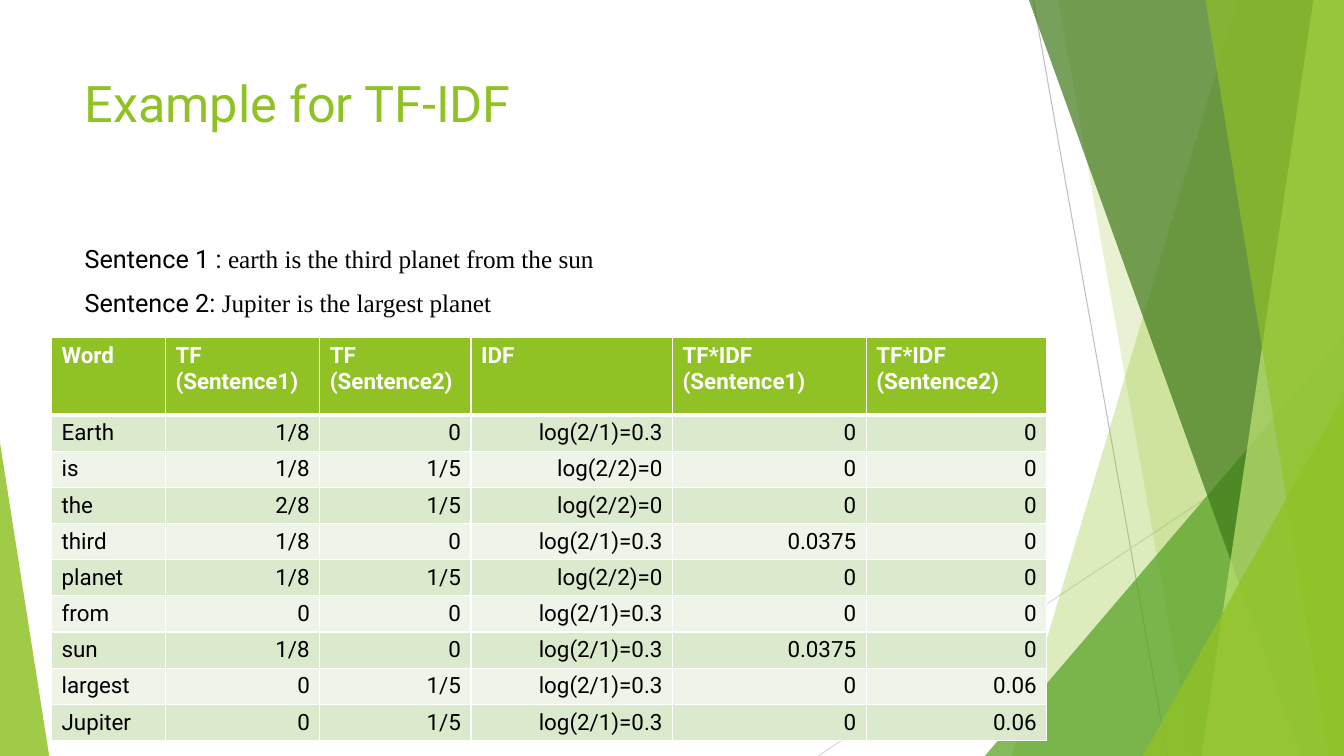
from lxml.etree import SubElement
from pptx import Presentation
from pptx.dml.color import RGBColor
from pptx.enum.shapes import MSO_CONNECTOR, MSO_SHAPE
from pptx.enum.text import MSO_ANCHOR, MSO_AUTO_SIZE, PP_ALIGN
from pptx.oxml.ns import qn
from pptx.util import Cm, Pt

WIDTH, HEIGHT = 33.87, 19.05
GREEN, WHITE, BLACK = "90C226", "FFFFFF", "000000"
BAND_FILLS = ["DBE9CD", "EEF4E8"]


def paint(fill, hex_code):
    """Make a shape, line, cell or font fill one solid colour."""
    fill.solid()
    fill.fore_color.rgb = RGBColor.from_string(hex_code)


def style_font(span, size, font_name, hex_code, bold=False):
    """Set the size, font, colour and weight of a run."""
    span.font.size = Pt(size)
    span.font.name = font_name
    span.font.bold = bold
    paint(span.font.fill, hex_code)


deck = Presentation()
deck.slide_width, deck.slide_height = Cm(WIDTH), Cm(HEIGHT)
page = deck.slides.add_slide(deck.slide_layouts[1])

# Thin lines behind the facets: start, end, colour
thin_lines = [
    ((26.04, 0), (29.42, HEIGHT), "BFBFBF"),
    ((WIDTH, 10.24), (20.62, HEIGHT), "D9D9D9"),
]
for start, end, hex_code in thin_lines:
    ends = [Cm(value) for value in start + end]
    line = page.shapes.add_connector(MSO_CONNECTOR.STRAIGHT, *ends)
    line.line.width = Pt(0.75)
    paint(line.line.fill, hex_code)
    SubElement(line.element.spPr, qn("a:effectLst"))

# Bands: top-left x, bottom-left x; they reach the right edge of the slide.
# Corners: left, top, width, apex position; they stand on the bottom edge.
facets = [
    ("band", (31.19, 25.5), GREEN, 30),
    ("band", (26.67, 30.05), GREEN, 20),
    ("corner", (24.82, 8.46, 9.05, 1), "54A021", 72),
    ("band", (25.93, 32.79), "3F7819", 70),
    ("band", (33.1, 30.28), "C0E474", 70),
    ("band", (30.38, 33.48), GREEN, 65),
    ("corner", (28.8, 9.98, 5.07, 1), GREEN, 80),
    ("corner", (0, 11.15, 1.24, 0), GREEN, 85),
]
for kind, geometry, hex_code, opacity in facets:
    if kind == "band":
        top_x, bottom_x = geometry
        outline = page.shapes.build_freeform(Cm(top_x), Cm(0))
        corners = [(WIDTH, 0), (WIDTH, HEIGHT), (bottom_x, HEIGHT)]
        outline.add_line_segments([(Cm(x), Cm(y)) for x, y in corners])
        facet = outline.convert_to_shape()
    else:
        left, top, width, apex = geometry
        facet = page.shapes.add_shape(
            MSO_SHAPE.ISOSCELES_TRIANGLE,
            Cm(left), Cm(top), Cm(width), Cm(HEIGHT - top))
        facet.adjustments[0] = apex
    facet.shadow.inherit = False
    paint(facet.fill, hex_code)
    facet.line.fill.background()
    solid = facet.element.spPr.find(qn("a:solidFill"))
    alpha = SubElement(solid.find(qn("a:srgbClr")), qn("a:alpha"))
    alpha.set("val", str(opacity * 1000))

# Title and sentences, in front of the facets
title, body = page.shapes.title, page.placeholders[1]
for box, top, height in [(title, 1.7, 3.66), (body, 6, 10.77)]:
    box.left, box.top = Cm(1.88), Cm(top)
    box.width, box.height = Cm(23.88), Cm(height)
    box.text_frame.vertical_anchor = MSO_ANCHOR.TOP
    box.text_frame.auto_size = MSO_AUTO_SIZE.NONE
    page.shapes.element.append(box.element)

title.text_frame.text = "Example for TF-IDF"
heading = title.text_frame.paragraphs[0]
heading.alignment = PP_ALIGN.LEFT
style_font(heading.runs[0], 36, "Roboto", GREEN)

sentences = [
    ("Sentence 1\u00a0:", " earth is the third planet from the sun"),
    ("Sentence 2:", " Jupiter is the largest planet"),
]
body.text_frame.text = "\n".join(label for label, sentence in sentences)
for para, (label, sentence) in zip(body.text_frame.paragraphs, sentences):
    para.space_before = Pt(10)
    properties = para._p.get_or_add_pPr()
    properties.set("marL", "0")
    properties.set("indent", "0")
    SubElement(properties, qn("a:buNone"))
    style_font(para.runs[0], 18, "Roboto", BLACK)
    span = para.add_run()
    span.text = sentence
    style_font(span, 18, "Times New Roman", BLACK)

# TF-IDF table
rows = [
    ["Word", "TF\n(Sentence1)", "TF\n(Sentence2)", "IDF",
     "TF*IDF\n(Sentence1)", "TF*IDF\n(Sentence2)"],
    ["Earth", "1/8", "0", "log(2/1)=0.3", "0", "0"],
    ["is", "1/8", "1/5", "log(2/2)=0", "0", "0"],
    ["the", "2/8", "1/5", "log(2/2)=0", "0", "0"],
    ["third", "1/8", "0", "log(2/1)=0.3", "0.0375", "0"],
    ["planet", "1/8", "1/5", "log(2/2)=0", "0", "0"],
    ["from", "0", "0", "log(2/1)=0.3", "0", "0"],
    ["sun", "1/8", "0", "log(2/1)=0.3", "0.0375", "0"],
    ["largest", "0", "1/5", "log(2/1)=0.3", "0", "0.06"],
    ["Jupiter", "0", "1/5", "log(2/1)=0.3", "0", "0.06"],
]
column_widths = [2.87, 3.89, 3.81, 5.08, 4.88, 4.55]
header_height, row_height = 1.95, 0.91
frame = page.shapes.add_table(
    len(rows), len(column_widths), Cm(1.3), Cm(8.51), Cm(sum(column_widths)),
    Cm(header_height + row_height * (len(rows) - 1)))
table = frame.table
for column, width in zip(table.columns, column_widths):
    column.width = Cm(width)

for row_index, values in enumerate(rows):
    is_header = row_index == 0
    table.rows[row_index].height = Cm(header_height if is_header else row_height)
    for column_index, value in enumerate(values):
        cell = table.cell(row_index, column_index)
        cell.text_frame.text = value
        for para in cell.text_frame.paragraphs:
            if not is_header and column_index > 0:
                para.alignment = PP_ALIGN.RIGHT
            style_font(para.runs[0], 16, "Roboto",
                       WHITE if is_header else BLACK, is_header)
        cell_properties = cell._tc.get_or_add_tcPr()
        for side in "LRTB":
            under_header = (row_index, side) in [(0, "B"), (1, "T")]
            border = SubElement(cell_properties, qn("a:ln" + side))
            border.set("w", str(Pt(3 if under_header else 1)))
            border_fill = SubElement(border, qn("a:solidFill"))
            SubElement(border_fill, qn("a:srgbClr")).set("val", WHITE)
        paint(cell.fill, GREEN if is_header else BAND_FILLS[(row_index - 1) % 2])

deck.save("out.pptx")
